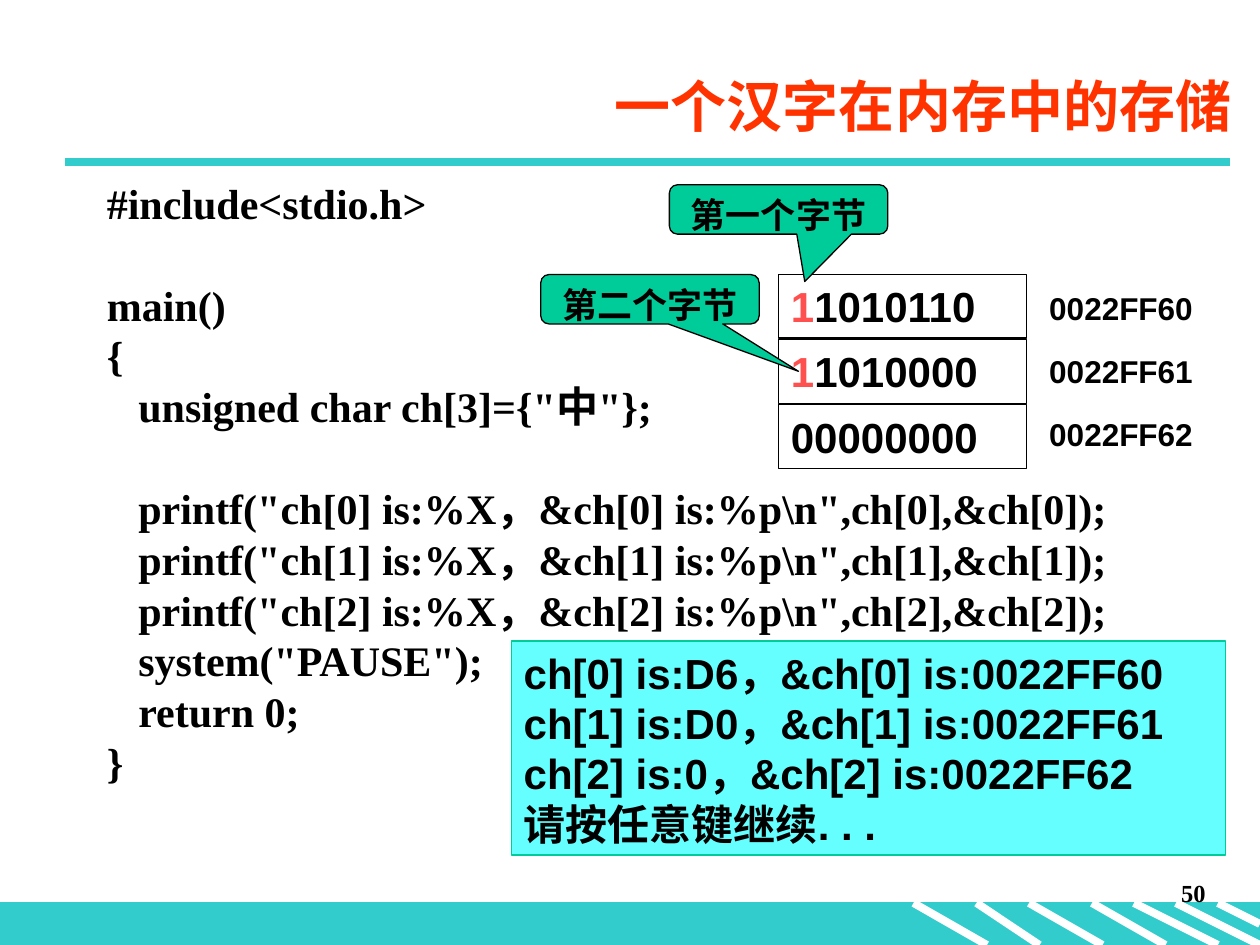
from lxml.etree import SubElement
from pptx import Presentation
from pptx.dml.color import RGBColor
from pptx.enum.shapes import MSO_CONNECTOR, MSO_SHAPE
from pptx.enum.text import MSO_ANCHOR, PP_ALIGN
from pptx.oxml.ns import qn
from pptx.util import Inches, Pt

# The slide is a grid of 120 columns by 90 rows, with square cells.
COLUMNS, ROWS = 120, 90
CELL = Inches(10) / COLUMNS

COLORS = {
    "black": "000000",
    "white": "FFFFFF",
    "teal": "33CCCC",
    "title": "FF3300",
    "sign bit": "FF5050",
    "output": "66FFFF",
    "green": "00CC99",
}

CODE = """#include<stdio.h>

main()
{
   unsigned char ch[3]={"中"};

   printf("ch[0] is:%X，&ch[0] is:%p\\n",ch[0],&ch[0]);
   printf("ch[1] is:%X，&ch[1] is:%p\\n",ch[1],&ch[1]);
   printf("ch[2] is:%X，&ch[2] is:%p\\n",ch[2],&ch[2]);
   system("PAUSE");
   return 0;
}"""
OUTPUT = [
    "ch[0] is:D6，&ch[0] is:0022FF60",
    "ch[1] is:D0，&ch[1] is:0022FF61",
    "ch[2] is:0，&ch[2] is:0022FF62",
    "请按任意键继续. . .",
]
# Each byte: marked leading bits, remaining bits, address
MEMORY = [
    ("1", "1010110", "0022FF60"),
    ("1", "1010000", "0022FF61"),
    ("", "00000000", "0022FF62"),
]
# Each stripe: start column, end column, end row
STRIPES = [
    (93, 99, 90), (87, 94, 90), (98, 105, 90), (112, 120, 90),
    (108, 116, 90), (116, 120, 88), (104, 111, 90),
]
FOOTER_ROW = 86


def grid(*lengths):
    return [round(length * CELL) for length in lengths]


def color(name):
    return RGBColor.from_string(COLORS[name])


def add_run(paragraph, text, size, font="Arial", ink="black"):
    run = paragraph.add_run()
    run.text = text
    for name, value in {"name": font, "size": Pt(size), "bold": True}.items():
        setattr(run.font, name, value)
    run.font.color.rgb = color(ink)


def prepare_frame(shape, wrap=True, align=PP_ALIGN.LEFT, anchor=MSO_ANCHOR.TOP):
    """Set up the text frame and return its first paragraph."""
    frame = shape.text_frame
    frame.word_wrap = wrap
    frame.vertical_anchor = anchor
    paragraph = frame.paragraphs[0]
    paragraph.alignment = align
    return paragraph


def add_text(slide, place, text, size, font="Arial", **frame_format):
    box = slide.shapes.add_textbox(*grid(*place))
    add_run(prepare_frame(box, **frame_format), text, size, font)


def add_box(slide, place, fill=None, line="black", kind=MSO_SHAPE.RECTANGLE):
    shape = slide.shapes.add_shape(kind, *grid(*place))
    shape.shadow.inherit = False
    if fill:
        shape.fill.solid()
        shape.fill.fore_color.rgb = color(fill)
    else:
        shape.fill.background()
    shape.line.color.rgb = color(line)
    shape.line.width = Pt(0.75)
    return shape


def add_line(slide, ends, ink):
    line = slide.shapes.add_connector(MSO_CONNECTOR.STRAIGHT, *grid(*ends))
    line.line.color.rgb = color(ink)
    line.line.width = Pt(4.5)
    SubElement(line._element.spPr, qn("a:effectLst"))


def add_title(slide, text):
    title = slide.shapes.title
    title.left, title.top, title.width, title.height = grid(16.5, 5.3, 102, 9.5)
    paragraph = prepare_frame(title, align=PP_ALIGN.RIGHT, anchor=MSO_ANCHOR.MIDDLE)
    add_run(paragraph, text, 32, "Times New Roman", "title")


def add_footer(slide):
    add_box(slide, (0, FOOTER_ROW, COLUMNS, ROWS - FOOTER_ROW), "teal", "teal")
    for start, end, bottom in STRIPES:
        add_line(slide, (start, FOOTER_ROW, end, bottom), "white")
    add_text(slide, (91, 83, 25, 6), "50", 14, "Times New Roman",
             align=PP_ALIGN.RIGHT)


def add_code(slide):
    """Write the program; a blank line becomes space before the next line."""
    box = slide.shapes.add_textbox(*grid(9, 17.25, 102, 60.5))
    paragraph = prepare_frame(box)
    previous = None
    for line in CODE.split("\n"):
        if line:
            if previous is not None:
                paragraph = box.text_frame.add_paragraph()
                paragraph.space_before = Pt(6 if previous else 35)
            paragraph.line_spacing = 0.8
            add_run(paragraph, line, 24, "Times New Roman")
        previous = line


def add_output(slide):
    box = add_box(slide, (48.7, 61.05, 68, 20.4), "output", "green")
    paragraph = prepare_frame(box)
    for index, line in enumerate(OUTPUT):
        if index:
            paragraph = box.text_frame.add_paragraph()
            paragraph.alignment = PP_ALIGN.LEFT
        add_run(paragraph, line, 24)


def add_memory(slide):
    for index, (marked, bits, address) in enumerate(MEMORY):
        top = 26.15 + 6.2 * index
        paragraph = prepare_frame(add_box(slide, (74.15, top, 23.65, 6.05)))
        if marked:
            add_run(paragraph, marked, 24, ink="sign bit")
        add_run(paragraph, bits, 24)
        add_text(slide, (98.75, 26.9 + 6 * index, 16.1, 4.8), address, 18, wrap=False)


def add_callout(slide, left, top, tip, text):
    """Add a callout whose tip is given as shares of its size from its centre."""
    callout = add_box(slide, (left, top, 20.8, 4.7), "green",
                      kind=MSO_SHAPE.ROUNDED_RECTANGULAR_CALLOUT)
    callout.adjustments[0], callout.adjustments[1] = tip
    add_run(prepare_frame(callout, align=PP_ALIGN.CENTER), text, 20)


def main():
    presentation = Presentation()
    presentation.slide_width, presentation.slide_height = grid(COLUMNS, ROWS)
    slide = presentation.slides.add_slide(presentation.slide_layouts[5])
    add_footer(slide)
    add_line(slide, (6.15, 15.45, 117.15, 15.45), "teal")
    add_title(slide, "一个汉字在内存中的存储")
    add_code(slide)
    add_output(slide)
    add_memory(slide)
    add_callout(slide, 63.75, 17.6, (0.12, 1.46), "第一个字节")
    add_callout(slide, 51.5, 26.15, (0.68, 1.46), "第二个字节")
    presentation.save("out.pptx")


if __name__ == "__main__":
    main()
